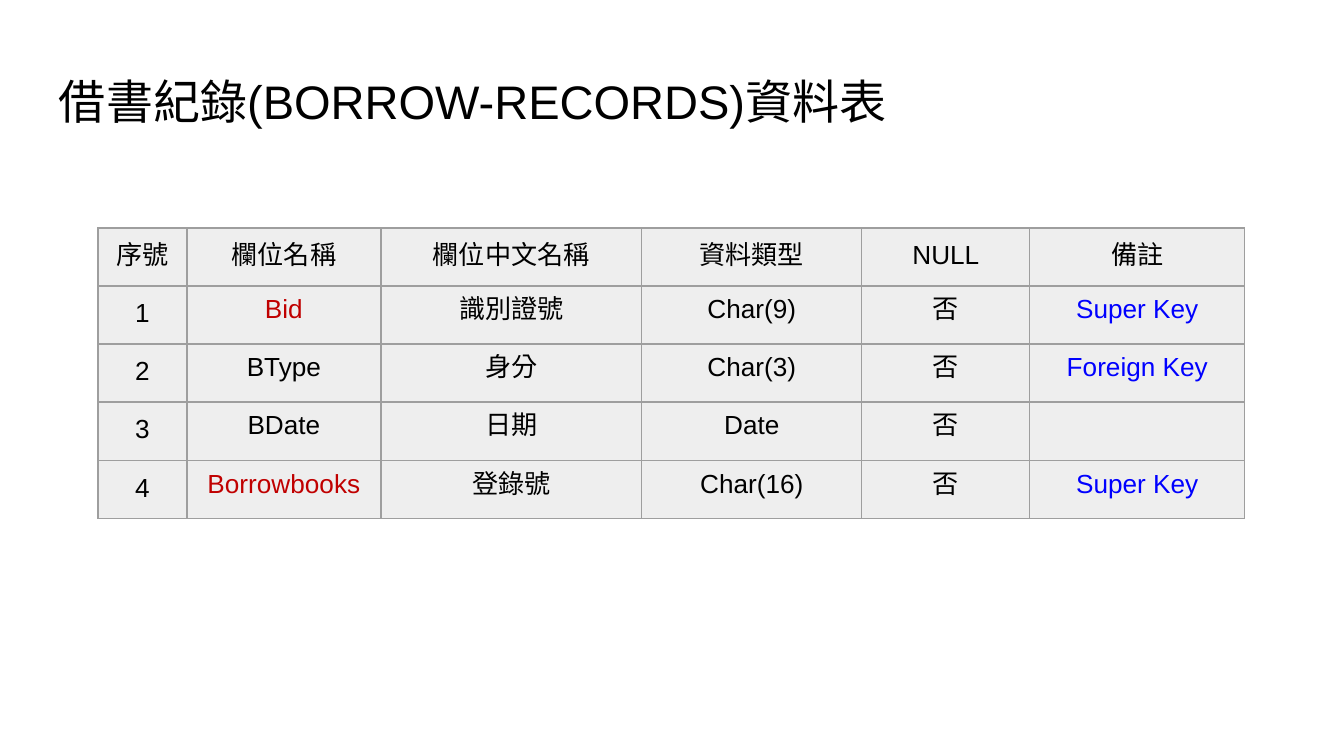
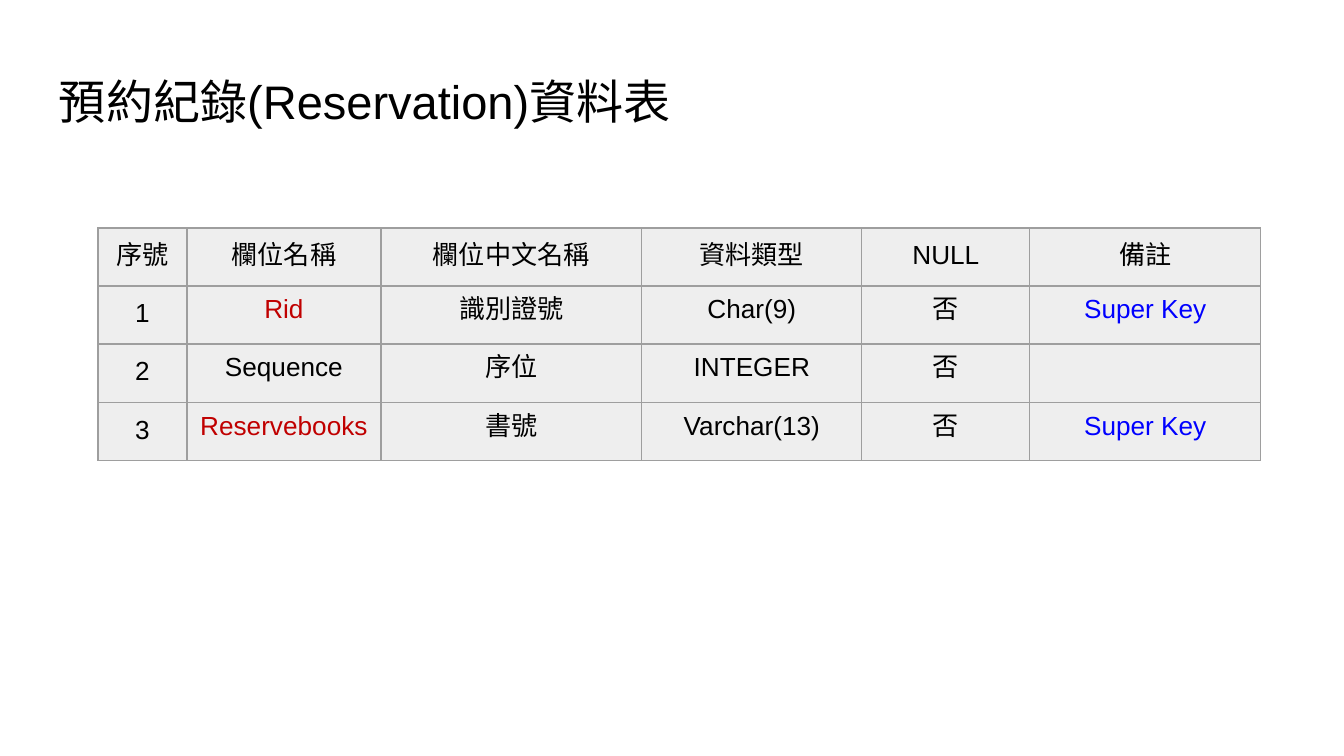
import lxml.etree
import pptx
import pptx.dml.color
import pptx.enum.text
import pptx.oxml.ns
import pptx.util

BLACK, RED, BLUE = "000000", "C00000", "0000FF"
FILL, BORDER = "EEEEEE", "9E9E9E"
FONT = "Arial"
HEADER = ["序號", "欄位名稱", "欄位中文名稱", "資料類型", "NULL", "備註"]
COLUMNS = [89, 194, 261, 220, 168]
SIDES = ("left", "right", "top", "bottom")


def px(n):
    """Turn px, 134.4 to the inch, into EMU."""
    return pptx.util.Emu(round(n * 914400 / 134.4))


def rgb(value):
    return pptx.dml.color.RGBColor.from_string(value)


def add_xml(parent, tag, **attrs):
    return lxml.etree.SubElement(parent, pptx.oxml.ns.qn(tag), attrs)


class Deck:
    """Holds the style and the current slide."""

    def __init__(self):
        self.prs = pptx.Presentation()
        self.prs.slide_width, self.prs.slide_height = px(1344), px(756)
        self.s = None

    def slide(self):
        self.s = self.prs.slides.add_slide(self.prs.slide_layouts[6])

    def text(self, tf, text, size, color=BLACK, **formats):
        """Write one run; formats are paragraph attributes."""
        p = tf.paragraphs[0]
        for name, value in formats.items():
            setattr(p, name, value)
        if not text:
            return
        r = p.add_run()
        r.text = text
        for name, value in {"name": FONT, "size": pptx.util.Pt(size)}.items():
            setattr(r.font, name, value)
        r.font.color.rgb = rgb(color)
        props = r._r.get_or_add_rPr()
        props.set("lang", "zh-TW")
        add_xml(props, "a:ea", typeface=FONT)

    def title(self, text):
        tf = self.s.shapes.add_textbox(px(46), px(66), px(1252), px(85)).text_frame
        tf.word_wrap = True
        for side in SIDES:
            setattr(tf, "margin_" + side, px(13))
        self.text(tf, text, 25.2, line_spacing=0.9)

    def cell(self, cell, text, inset, color):
        for side in SIDES:
            setattr(cell, "margin_" + side, px(inset))
        self.text(cell.text_frame, text, 14, color,
                  alignment=pptx.enum.text.PP_ALIGN.CENTER)
        props = cell._tc.get_or_add_tcPr()
        for tag in ("a:lnL", "a:lnR", "a:lnT", "a:lnB"):
            line = add_xml(props, tag, w=str(pptx.util.Pt(0.75)))
            add_xml(add_xml(line, "a:solidFill"), "a:srgbClr", val=BORDER)
        cell.fill.solid()
        cell.fill.fore_color.rgb = rgb(FILL)

    def table(self, fields, note_width):
        """Draw fields of (name, Chinese name, type, note); super keys are red."""
        rows = [HEADER] + [[str(i), name, chinese, kind, "否", note]
                           for i, (name, chinese, kind, note) in enumerate(fields, 1)]
        widths = COLUMNS + [note_width]
        height = 58
        table = self.s.shapes.add_table(
            len(rows), len(widths), px(98), px(228),
            px(sum(widths)), px(height * len(rows))).table
        table.first_row = table.horz_banding = False
        for column, width in zip(table.columns, widths):
            column.width = px(width)
        for i, row in enumerate(rows):
            table.rows[i].height = px(height)
            for j, text in enumerate(row):
                color = BLACK
                if i and j == 5:
                    color = BLUE
                elif j == 1 and row[5] == "Super Key":
                    color = RED
                inset = 13 if i == 0 or j == 0 else 9
                self.cell(table.cell(i, j), text, inset, color)


def main():
    deck = Deck()

    deck.slide()
    deck.title("借書紀錄(BORROW-RECORDS)資料表")
    deck.table([
        ("Bid", "識別證號", "Char(9)", "Super Key"),
        ("BType", "身分", "Char(3)", "Foreign Key"),
        ("BDate", "日期", "Date", ""),
        ("Borrowbooks", "登錄號", "Char(16)", "Super Key"),
    ], note_width=215)

    deck.slide()
    deck.title("預約紀錄(Reservation)資料表")
    deck.table([
        ("Rid", "識別證號", "Char(9)", "Super Key"),
        ("Sequence", "序位", "INTEGER", ""),
        ("Reservebooks", "書號", "Varchar(13)", "Super Key"),
    ], note_width=231)

    deck.prs.save("out.pptx")


if __name__ == "__main__":
    main()
